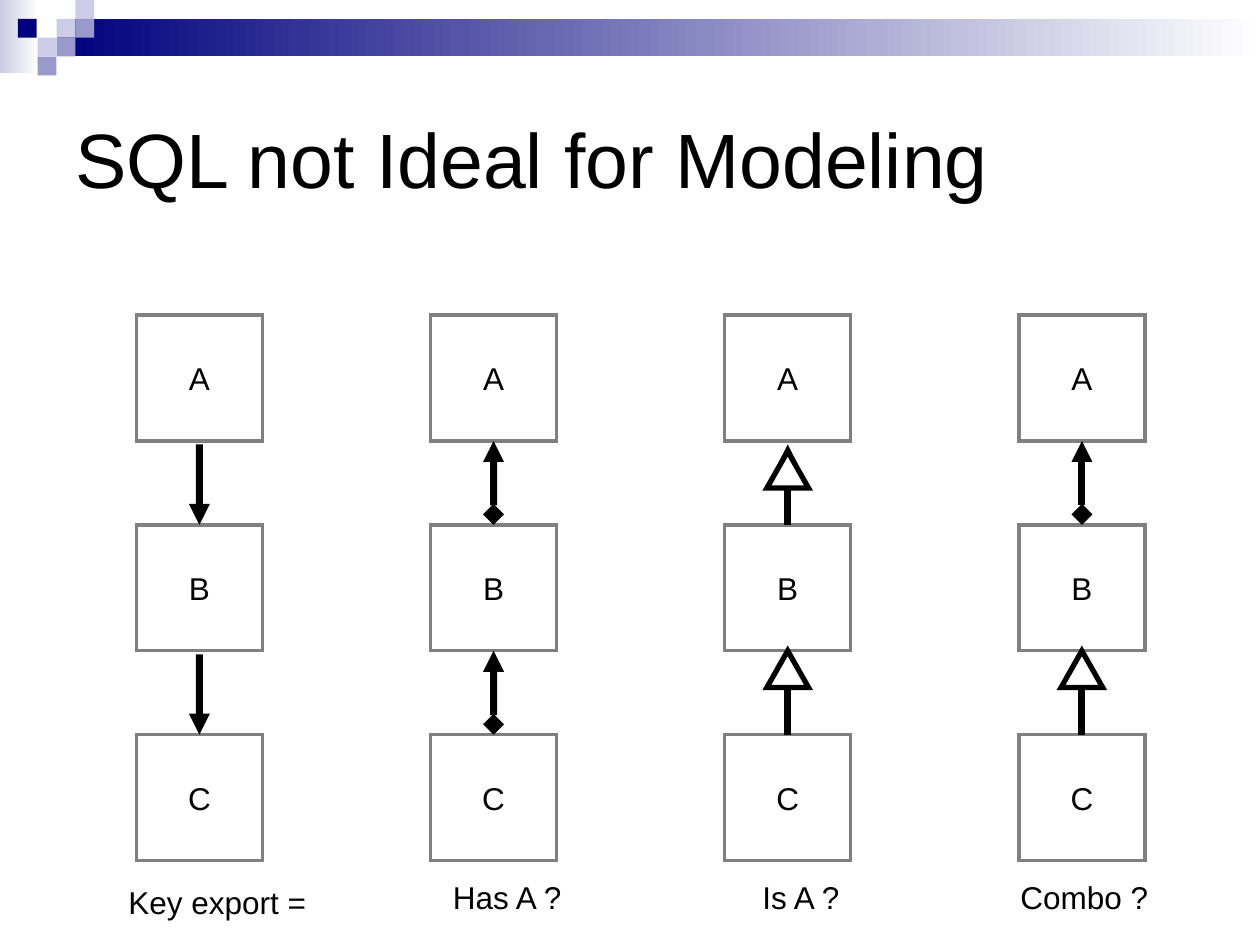
import lxml.etree
import pptx
import pptx.dml.color
import pptx.enum.shapes
import pptx.enum.text
import pptx.oxml.ns
import pptx.util
from pptx.util import Cm

SHAPES = pptx.enum.shapes.MSO_SHAPE
ALIGN = pptx.enum.text.PP_ALIGN
ANCHOR = pptx.enum.text.MSO_ANCHOR

BOX_SIZE = 2.54
ROW_PITCH = 4.23
FIRST_COLUMN = 2.75
COLUMN_PITCH = 5.93
COLUMN_TOP = 6.35
ARROW_GAP = 0.07

COLUMNS = [
    ("Key export =", (-0.41, 11.33, 4.3), ("export", "export")),
    ("Has A ?", (0.2, 11.23, 3), ("has", "has")),
    ("Is A ?", (0.51, 11.23, 2.4), ("is", "is")),
    ("Combo ?", (-0.22, 11.23, 3.4), ("has", "is")),
]
ARROW_ENDS = {
    "export": {"tailEnd": "triangle"},
    "has": {"headEnd": "triangle", "tailEnd": "diamond"},
    "is": {"headEnd": "triangle"},
}


def color(value):
    """Turn a hex string into a colour."""
    return pptx.dml.color.RGBColor.from_string(value)


def add_element(parent, tag, **attributes):
    """Append a drawing element to an XML parent."""
    lxml.etree.SubElement(parent, pptx.oxml.ns.qn("a:" + tag), **attributes)


def add_text(shape, text, size, align=ALIGN.LEFT, anchor=ANCHOR.TOP, wrap=False):
    """Write one run of black Arial into a shape."""
    frame = shape.text_frame
    frame.word_wrap = wrap
    frame.vertical_anchor = anchor
    paragraph = frame.paragraphs[0]
    paragraph.alignment = align
    run = paragraph.add_run()
    run.text = text
    run.font.name = "Arial"
    run.font.size = pptx.util.Pt(size)
    run.font.color.rgb = color("000000")


def add_block(shapes, kind, left, top, width, height, fill=None, line=None, weight=0):
    """Add a preset shape with an optional solid or two-colour fill and outline."""
    shape = shapes.add_shape(kind, Cm(left), Cm(top), Cm(width), Cm(height))
    shape.shadow.inherit = False
    if fill is None:
        shape.fill.background()
    elif isinstance(fill, tuple):
        shape.fill.gradient()
        shape.fill.gradient_angle = 0
        for stop, value in zip(shape.fill.gradient_stops, fill):
            stop.color.rgb = color(value)
    else:
        shape.fill.solid()
        shape.fill.fore_color.rgb = color(fill)
    if line:
        shape.line.color.rgb = color(line)
        shape.line.width = pptx.util.Pt(weight)
        add_element(shape.line._get_or_add_ln(), "miter", lim="800000")
    else:
        shape.line.fill.background()
    return shape


def add_banner(slide, left, top, width):
    """Draw the gradient strip and the checkered squares at its left end."""
    shapes = slide.shapes.add_group_shape().shapes
    side = 0.38
    origin = left + 2 * side
    add_block(shapes, SHAPES.RECTANGLE, left, top, 0.79, 1.47, ("CCCCE6", "FFFFFF"))
    bar_left = origin + side
    add_block(shapes, SHAPES.RECTANGLE, bar_left, top + side,
              left + width - bar_left, 2 * side, ("00007D", "FFFFFF"))
    squares = [(1, 1, "CCCCE6"), (2, 0, "CCCCE6"), (2, 1, "9999CC"), (0, 2, "CCCCE6"),
               (-1.05, 1, "00007D"), (1, 2, "9999CC"), (0, 3, "9999CC")]
    for column, row, fill in squares:
        add_block(shapes, SHAPES.RECTANGLE, origin + column * side, top + row * side,
                  side, side, fill)


def add_title(slide, left, top, width, height):
    """Place the slide title."""
    title = slide.shapes.add_textbox(Cm(left), Cm(top), Cm(width), Cm(height))
    add_text(title, "SQL not Ideal for Modeling", 44, anchor=ANCHOR.MIDDLE, wrap=True)


def add_arrow(shapes, kind, upper, lower, middle, top, bottom):
    """Draw the relation between two boxes."""
    start = top if kind == "has" else top + ARROW_GAP
    end = bottom - 0.21 if kind == "has" else bottom
    arrow = shapes.add_connector(pptx.enum.shapes.MSO_CONNECTOR.STRAIGHT,
                                 Cm(middle), Cm(start), Cm(middle), Cm(end))
    if kind == "has":
        arrow.begin_connect(upper, 2)
    else:
        arrow.end_connect(lower, 0)
    arrow.line.color.rgb = color("000000")
    arrow.line.width = pptx.util.Pt(4)
    for tag, end_type in ARROW_ENDS[kind].items():
        add_element(arrow.line._get_or_add_ln(), tag, type=end_type)
    add_element(arrow._element.spPr, "effectLst")


def add_column(slide, left, top, label, label_box, kinds):
    """Stack boxes A, B and C with their relations and a caption."""
    shapes = slide.shapes.add_group_shape().shapes
    middle = left + BOX_SIZE / 2
    boxes = []
    for row, letter in enumerate("ABC"):
        box = add_block(shapes, SHAPES.RECTANGLE, left, top + row * ROW_PITCH,
                        BOX_SIZE, BOX_SIZE, line="808080", weight=2)
        add_text(box, letter, 18, ALIGN.CENTER, ANCHOR.MIDDLE)
        boxes.append(box)
    for row, kind in enumerate(kinds):
        start = top + row * ROW_PITCH + BOX_SIZE
        add_arrow(shapes, kind, boxes[row], boxes[row + 1], middle,
                  start, top + (row + 1) * ROW_PITCH)
        if kind == "is":
            drop = 0.21 if row == 0 else 0
            add_block(shapes, SHAPES.ISOSCELES_TRIANGLE, middle - 0.42, start + drop,
                      0.84, 0.74, "FFFFFF", "000000", 3)
    offset, drop, width = label_box
    caption = shapes.add_textbox(Cm(left + offset), Cm(top + drop), Cm(width), Cm(1.02))
    add_text(caption, label, 18)


def main():
    """Build and save the slide."""
    presentation = pptx.Presentation()
    presentation.slide_width = Cm(25.4)
    presentation.slide_height = Cm(19.05)
    slide = presentation.slides.add_slide(presentation.slide_layouts[6])
    add_banner(slide, 0, 0, 25.4)
    add_title(slide, 1.27, 1.27, 22.86, 3.81)
    for index, (label, label_box, kinds) in enumerate(COLUMNS):
        add_column(slide, FIRST_COLUMN + index * COLUMN_PITCH, COLUMN_TOP,
                   label, label_box, kinds)
    presentation.save("out.pptx")


if __name__ == "__main__":
    main()
